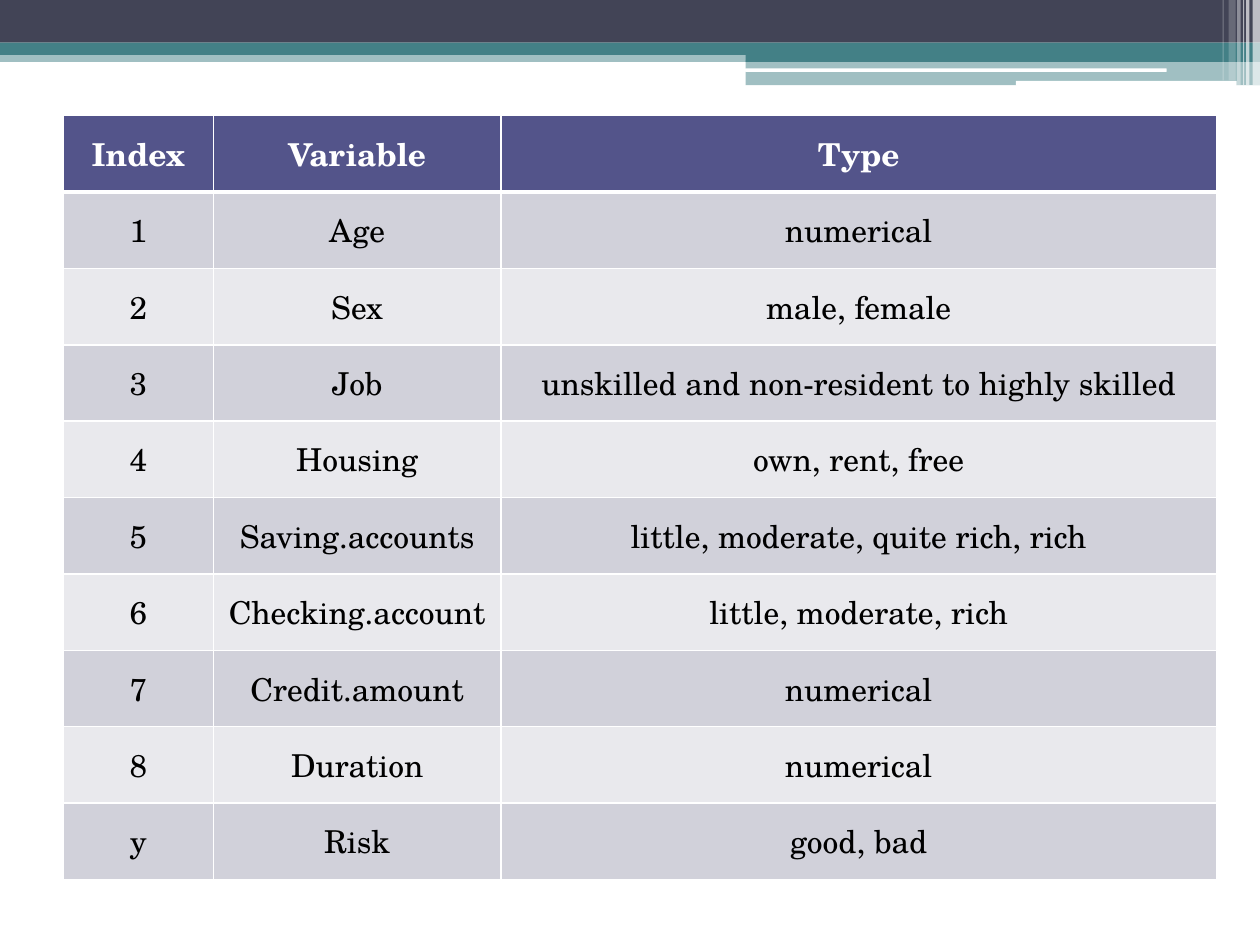
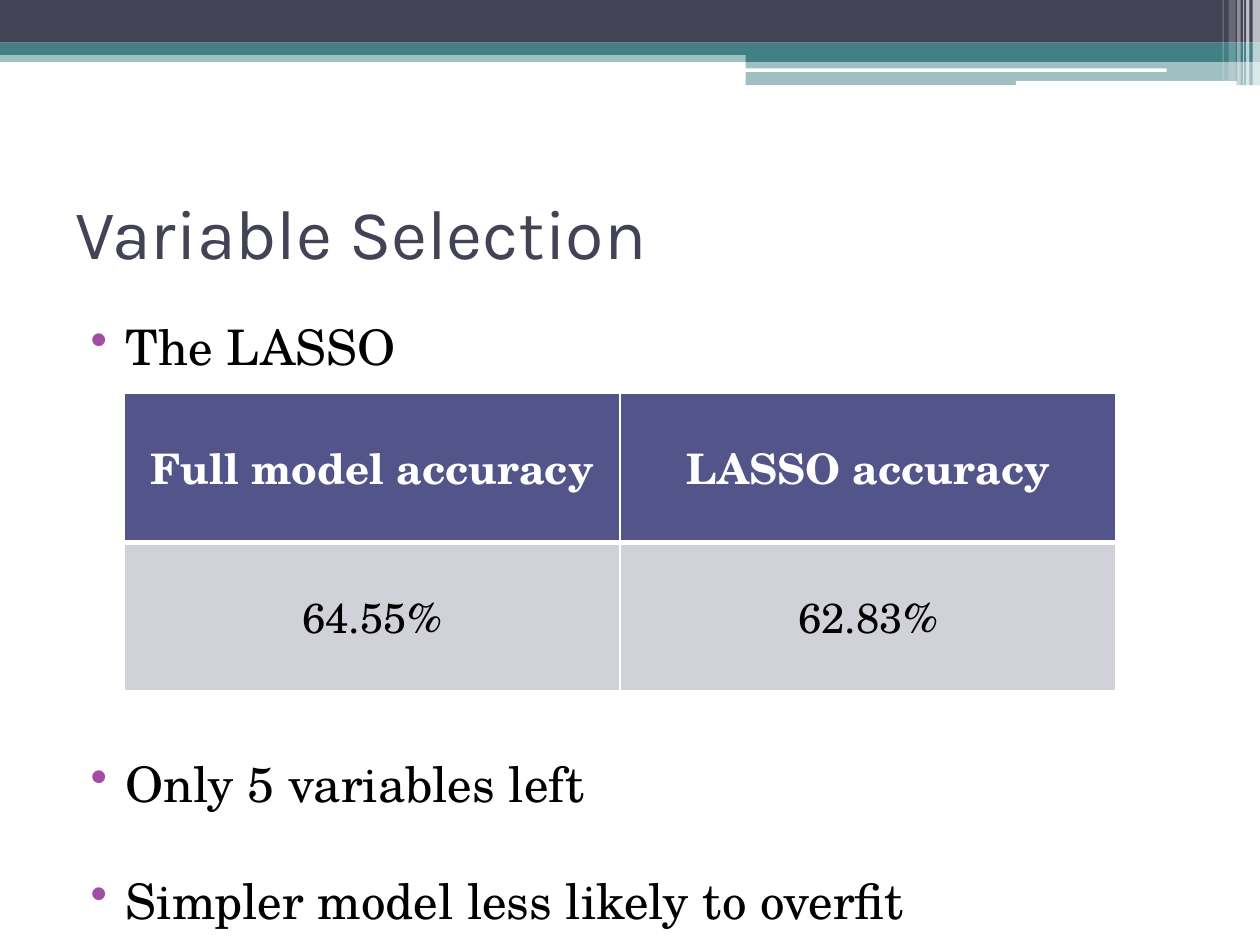
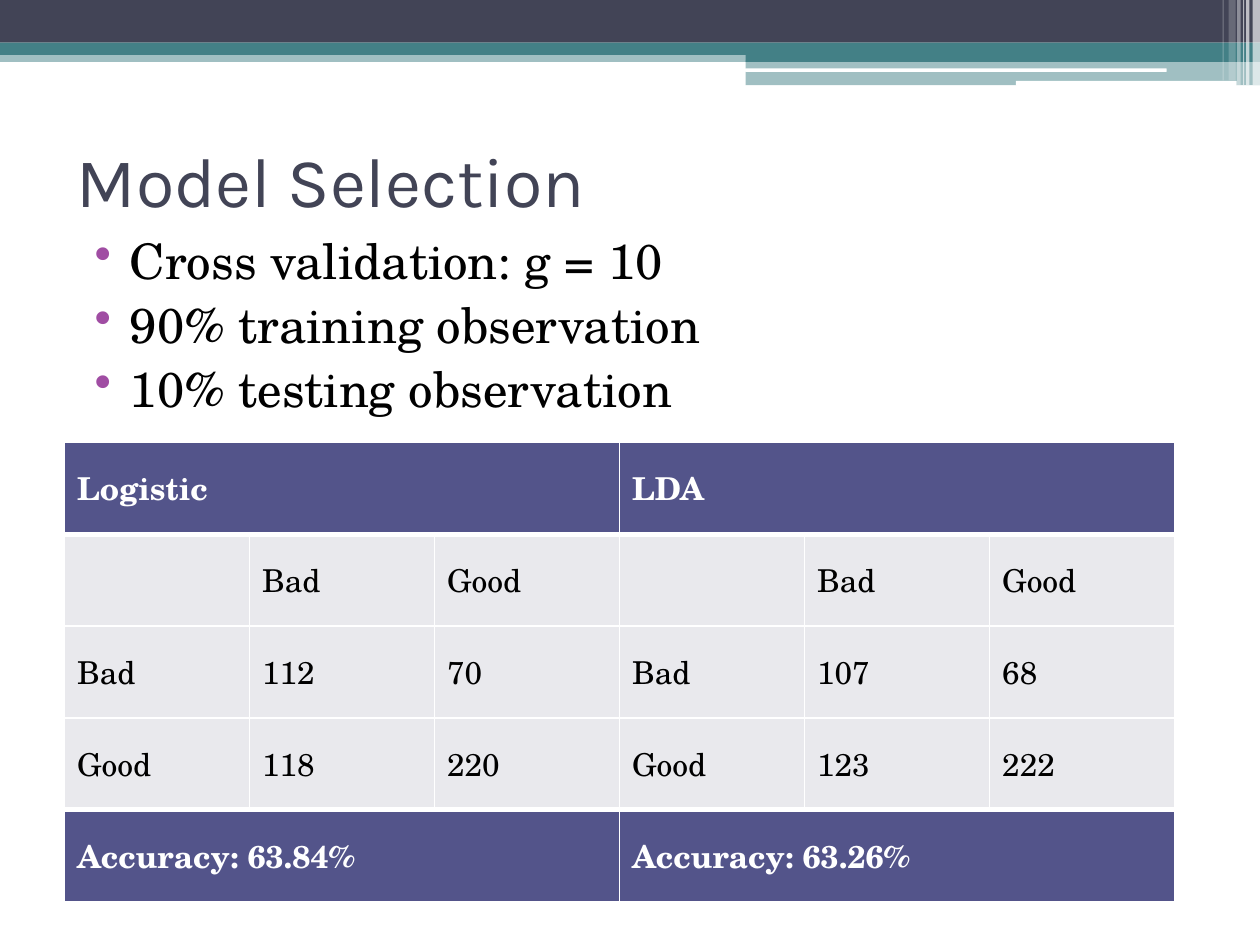
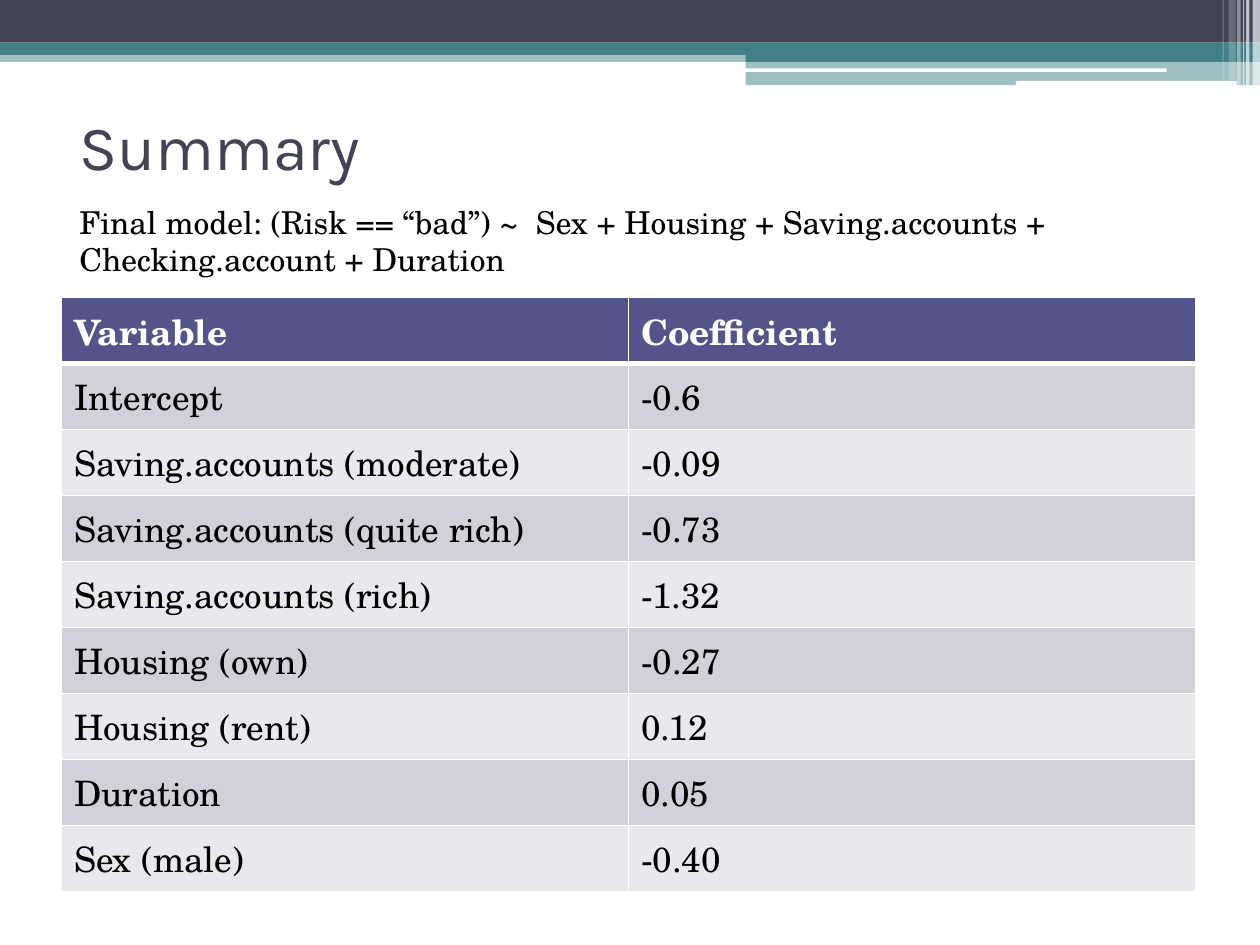
from lxml.etree import SubElement
from pptx import Presentation
from pptx.dml.color import RGBColor
from pptx.enum.shapes import MSO_SHAPE as SHAPE
from pptx.enum.text import MSO_ANCHOR as ANCHOR, PP_ALIGN as ALIGN
from pptx.oxml.ns import qn
from pptx.util import Cm, Pt

# Shared style
INK = RGBColor(0x42, 0x44, 0x56)
TEAL = RGBColor(0x43, 0x80, 0x86)
INDIGO = RGBColor(0x53, 0x54, 0x8A)
PURPLE = RGBColor(0xA0, 0x4D, 0xA3)
MID = RGBColor(0xD1, 0xD1, 0xDA)
PALE = RGBColor(0xE9, 0xE9, 0xED)
WHITE = RGBColor(0xFF, 0xFF, 0xFF)
BLACK = RGBColor(0, 0, 0)
HEAD_FONT, BODY_FONT = "Karla", "TeX Gyre Schola"
TEXT_W = 22.86
RECT, ROUND = SHAPE.RECTANGLE, SHAPE.ROUNDED_RECTANGLE

# Top band: shape, left, top, width, height (cm), colour, opacity in percent
BANDS = [
    (RECT, 0, 1.02, 25.4, 0.23, TEAL, 50),
    (RECT, 0, 0, 25.4, 0.86, INK, 100),
    (RECT, 0, 0.86, 25.4, 0.25, TEAL, 100),
    (RECT, 15.03, 1, 10.37, 0.25, TEAL, 100),
    (RECT, 15.03, 1.22, 10.37, 0.5, TEAL, 50),
    (ROUND, 15.02, 1.38, 8.5, 0.07, WHITE, 100),
    (ROUND, 20.48, 1.63, 4.45, 0.1, WHITE, 100),
    (RECT, 25.25, 0, 0.15, 1.72, WHITE, 65),
    (RECT, 25.12, 0, 0.07, 1.72, WHITE, 65),
    (RECT, 25.06, 0, 0.02, 1.72, WHITE, 60),
    (RECT, 24.94, 0, 0.07, 1.72, WHITE, 40),
    (RECT, 24.77, 0, 0.14, 1.62, WHITE, 20),
    (RECT, 24.65, 0, 0.02, 1.62, WHITE, 30),
]

# Content; None in a row continues the cell to its left
VARIABLES = [
    ("Index", "Variable", "Type"),
    ("1", "Age", "numerical"),
    ("2", "Sex", "male, female"),
    ("3", "Job", "unskilled and non-resident to highly skilled"),
    ("4", "Housing", "own, rent, free"),
    ("5", "Saving.accounts", "little, moderate, quite rich, rich"),
    ("6", "Checking.account", "little, moderate, rich"),
    ("7", "Credit.amount", "numerical"),
    ("8", "Duration", "numerical"),
    ("y", "Risk", "good, bad"),
]
LASSO = [("Full model accuracy", "LASSO accuracy"), ("64.55%", "62.83%")]
# Bullets: text, line spacing, space before (pt)
LASSO_POINTS = [
    ("The LASSO", 1, 3),
    ("Only 5 variables left", 1.9, 186),  # leaves room for the table
    ("Simpler model less likely to overfit", 1.9, 3),
]
CONFUSION = [
    ("Logistic", None, None, "LDA", None, None),
    ("", "Bad", "Good", "", "Bad", "Good"),
    ("Bad", "112", "70", "Bad", "107", "68"),
    ("Good", "118", "220", "Good", "123", "222"),
    ("Accuracy: 63.84%", None, None, "Accuracy: 63.26%", None, None),
]
VALIDATION_POINTS = [
    ("Cross validation: g = 10", 1, 3),
    ("90% training observation", 1, 3),
    ("10% testing observation", 1, 3),
]
FINAL_MODEL = ("Final model: (Risk == “bad”) ~  Sex + Housing + "
               "Saving.accounts + Checking.account + Duration")
COEFFICIENTS = [
    ("Variable", "Coefficient"),
    ("Intercept", "-0.6"),
    ("Saving.accounts (moderate)", "-0.09"),
    ("Saving.accounts (quite rich)", "-0.73"),
    ("Saving.accounts (rich)", "-1.32"),
    ("Housing (own)", "-0.27"),
    ("Housing (rent)", "0.12"),
    ("Duration", "0.05"),
    ("Sex (male)", "-0.40"),
]


def style(p, size, color, font=BODY_FONT, bold=False):
    for r in p.runs:
        r.font.size, r.font.name, r.font.bold = Pt(size), font, bold
        r.font.color.rgb = color


def new_slide(prs):
    s = prs.slides.add_slide(prs.slide_layouts[6])
    for kind, x, y, w, h, color, opacity in BANDS:
        sp = s.shapes.add_shape(kind, Cm(x), Cm(y), Cm(w), Cm(h))
        sp.shadow.inherit = False
        sp.line.fill.background()
        sp.fill.solid()
        sp.fill.fore_color.rgb = color
        if opacity < 100:
            clr = sp.fill._xPr.find(".//" + qn("a:srgbClr"))
            SubElement(clr, qn("a:alpha"), val=str(opacity * 1000))
    return s


def add_text(s, x, y, h, text, size, color=BLACK, font=BODY_FONT,
             anchor=ANCHOR.TOP):
    tf = s.shapes.add_textbox(Cm(x), Cm(y), Cm(TEXT_W), Cm(h)).text_frame
    tf.word_wrap = True
    tf.vertical_anchor = anchor
    tf.text = text
    for p in tf.paragraphs:
        style(p, size, color, font)
    return tf


def add_title(s, x, y, h, text, size=40):
    add_text(s, x, y, h, text, size, INK, HEAD_FONT, ANCHOR.MIDDLE)


def add_bullets(s, x, y, points):
    tf = add_text(s, x, y, 12, "\n".join(pt[0] for pt in points), 28)
    for p, (_, spacing, before) in zip(tf.paragraphs, points):
        p.line_spacing, p.space_before = spacing, Pt(before)
        pPr = p._p.get_or_add_pPr()
        pPr.set("marL", str(Cm(1.02)))
        pPr.set("indent", str(-Cm(0.71)))
        clr = SubElement(pPr, qn("a:buClr"))
        SubElement(clr, qn("a:srgbClr"), val=str(PURPLE))
        SubElement(pPr, qn("a:buChar"), char="•")


def set_borders(cell, top, bottom):
    tcPr = cell._tc.get_or_add_tcPr()
    for side, width in zip("LRTB", (1, 1, top, bottom)):
        ln = SubElement(tcPr, qn("a:ln" + side), w=str(Pt(width)))
        fill = SubElement(ln, qn("a:solidFill"))
        SubElement(fill, qn("a:srgbClr"), val=str(WHITE))


def add_grid(s, x, y, col_widths, row_h, rows, size, align=ALIGN.LEFT,
             fills=(MID, PALE), footer=False):
    n, m = len(rows), len(col_widths)
    table = s.shapes.add_table(n, m, Cm(x), Cm(y), Cm(sum(col_widths)),
                               Cm(row_h * n)).table
    for col, w in zip(table.columns, col_widths):
        col.width = Cm(w)
    strong = {0, n - 1} if footer else {0}
    for i, row in enumerate(rows):
        table.rows[i].height = Cm(row_h)
        top = 3 if i and (i in strong or i - 1 in strong) else 1
        bottom = 3 if i < n - 1 and (i in strong or i + 1 in strong) else 1
        for j, text in enumerate(row):
            cell = table.cell(i, j)
            set_borders(cell, top, bottom)
            cell.fill.solid()
            cell.fill.fore_color.rgb = (
                INDIGO if i in strong else fills[(i - 1) % len(fills)])
            cell.vertical_anchor = ANCHOR.MIDDLE
            if text:
                cell.text_frame.text = text
                p = cell.text_frame.paragraphs[0]
                p.alignment = align
                style(p, size, WHITE if i in strong else BLACK,
                      bold=i in strong)
        # Merge each label with the None cells after it
        starts = [j for j, text in enumerate(row) if text is not None]
        for a, b in zip(starts, starts[1:] + [m]):
            if b - a > 1:
                table.cell(i, a).merge(table.cell(i, b - 1))


def main():
    prs = Presentation()
    prs.slide_width, prs.slide_height = Cm(25.4), Cm(19.05)

    # Variables
    s = new_slide(prs)
    add_grid(s, 1.28, 2.33, (3.02, 5.8, 14.42), 1.54, VARIABLES, 18,
             ALIGN.CENTER)

    # Variable selection
    s = new_slide(prs)
    add_title(s, 1.27, 3.18, 2.97, "Variable Selection")
    add_bullets(s, 1.27, 6.25, LASSO_POINTS)
    add_grid(s, 2.5, 7.93, [10] * 2, 3, LASSO, 24, ALIGN.CENTER)

    # Model selection
    s = new_slide(prs)
    add_title(s, 1.3, 2.13, 2.97, "Model Selection")
    add_bullets(s, 1.35, 4.52, VALIDATION_POINTS)
    add_grid(s, 1.3, 8.92, [3.73] * 6, 1.85, CONFUSION, 18, fills=(PALE,),
             footer=True)

    # Summary
    s = new_slide(prs)
    add_title(s, 1.35, 2.13, 1.6, "Summary", 36)
    add_grid(s, 1.24, 6, [11.43] * 2, 1.33, COEFFICIENTS, 20)
    add_text(s, 1.35, 3.96, 1.8, FINAL_MODEL, 18)

    prs.save("out.pptx")


if __name__ == "__main__":
    main()
